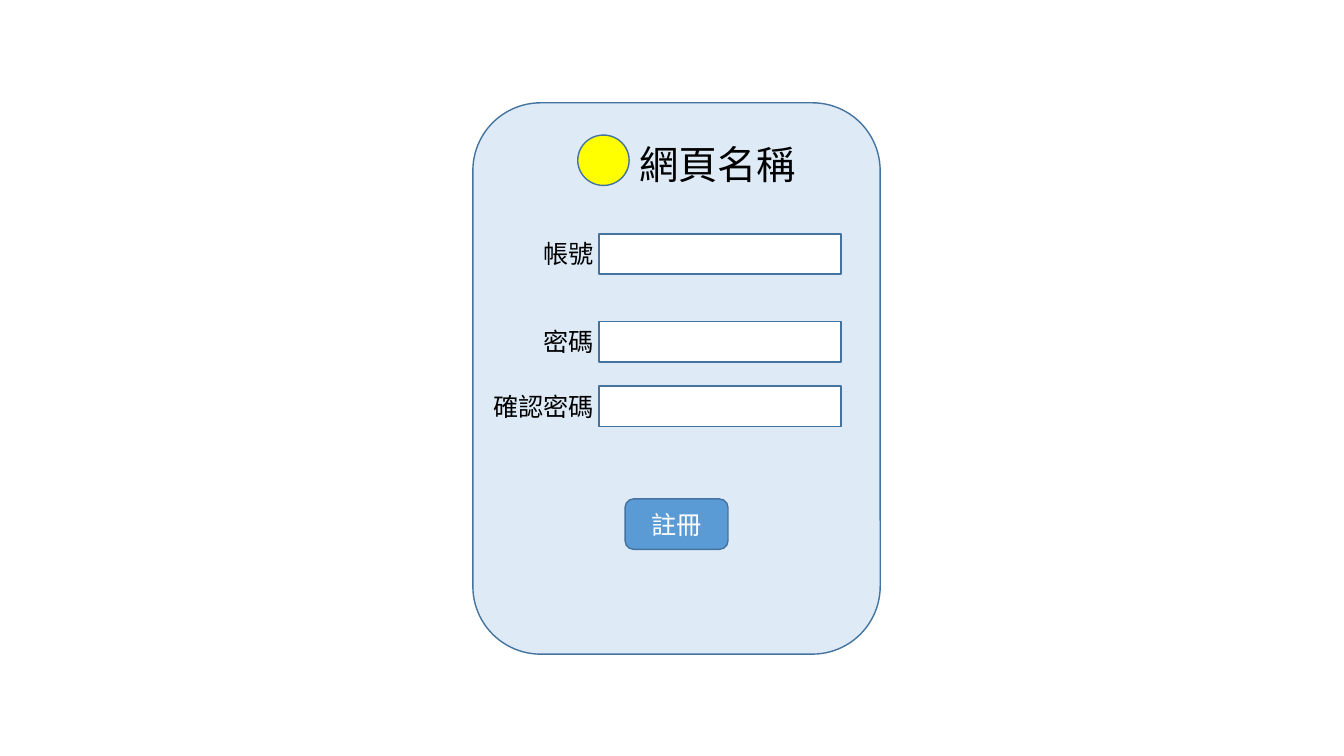
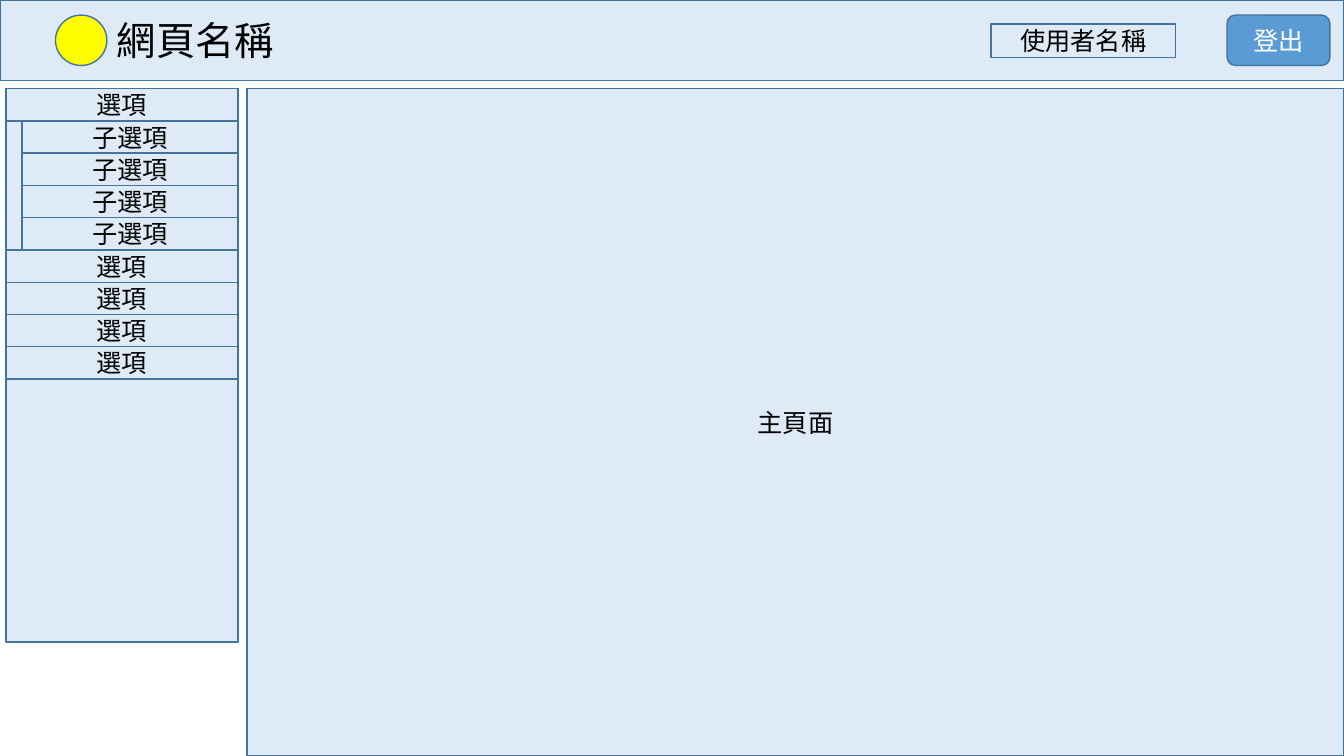
from lxml import etree
from pptx import Presentation
from pptx import util as u
from pptx.dml.color import RGBColor
from pptx.enum import shapes, text
from pptx.oxml.ns import qn

PALE = RGBColor(0xDE, 0xEB, 0xF7)
BLUE = RGBColor(0x5B, 0x9B, 0xD5)
EDGE = RGBColor(0x43, 0x73, 0x9E)
YELLOW = RGBColor(0xFF, 0xFF, 0x00)
WHITE = RGBColor(0xFF, 0xFF, 0xFF)
BLACK = RGBColor(0x00, 0x00, 0x00)
FONT = "Noto Sans CJK SC"
TITLE_ONLY = 5
RECT = shapes.MSO_SHAPE.RECTANGLE
ROUND = shapes.MSO_SHAPE.ROUNDED_RECTANGLE
OVAL = shapes.MSO_SHAPE.OVAL
SITE_NAME = "網頁名稱"


def add_run(p, words, size=18, color=BLACK):
    r = p.add_run()
    r.text = words
    r.font.size = u.Pt(size)
    r.font.color.rgb = color
    r.font.name = FONT
    # East Asian glyphs take their own typeface setting
    etree.SubElement(r._r.get_or_add_rPr(), qn("a:ea"), typeface=FONT)


def add_box(s, x, y, w, h, words="", kind=RECT, fill=PALE, color=BLACK):
    sp = s.shapes.add_shape(kind, *map(u.Inches, (x, y, w, h)))
    sp.shadow.inherit = False
    sp.fill.solid()
    sp.fill.fore_color.rgb = fill
    sp.line.color.rgb = EDGE
    sp.line.width = u.Pt(1)
    if words:
        tf = sp.text_frame
        tf.vertical_anchor = text.MSO_ANCHOR.MIDDLE
        p = tf.paragraphs[0]
        p.alignment = text.PP_ALIGN.CENTER
        add_run(p, words)
        p.runs[0].font.color.rgb = color
    return sp


def add_button(s, x, y, words):
    add_box(s, x, y, 1.02, 0.5, words, ROUND, BLUE, WHITE)


def add_brand(s, x, y, title_y):
    """Round logo spot with the site name as the slide title."""
    add_box(s, x, y, 0.51, 0.5, kind=OVAL, fill=YELLOW)
    title = s.shapes.title
    title.left, title.top = u.Inches(x + 0.51), u.Inches(title_y)
    title.width, title.height = u.Inches(1.81), u.Inches(0.57)
    tf = title.text_frame
    tf.auto_size = text.MSO_AUTO_SIZE.NONE
    tf.vertical_anchor = text.MSO_ANCHOR.TOP
    p = tf.paragraphs[0]
    p.alignment = text.PP_ALIGN.LEFT
    add_run(p, SITE_NAME, 28)
    # Bring the title in front of the panel
    title._element.getparent().append(title._element)


def add_field(s, x, y, label):
    """Input box at x, y with its label ending at its left edge."""
    add_box(s, x, y, 2.4, 0.4, fill=WHITE)
    w = 1.3
    tb = s.shapes.add_textbox(*map(u.Inches, (x - w + 0.05, y, w, 0.4)))
    tf = tb.text_frame
    tf.word_wrap = True
    p = tf.paragraphs[0]
    p.alignment = text.PP_ALIGN.RIGHT
    add_run(p, label)


def add_form(s, x, y):
    """Registration card."""
    add_box(s, x, y, 4.04, 5.47, kind=ROUND)
    add_brand(s, x + 1.04, y + 0.32, y + 0.32)
    for dy, label in ((1.3, "帳號"), (2.17, "密碼"), (2.81, "確認密碼")):
        add_field(s, x + 1.25, y + dy, label)
    add_button(s, x + 1.51, y + 3.93, "註冊")


def add_header(s, x, y, w):
    """Top bar with brand, user name and log-out button."""
    add_box(s, x, y, w, 0.8)
    add_brand(s, x + 0.55, y + 0.15, y + 0.11)
    add_box(s, x + w - 3.5, y + 0.24, 1.83, 0.33, "使用者名稱")
    add_button(s, x + w - 1.16, y + 0.15, "登出")


def add_menu(s, x, y, w, h):
    """Side menu: the first option is opened to show its sub-options."""
    row_h, indent = 0.32, 0.16
    add_box(s, x, y, w, h)
    rows = ["選項"] + ["子選項"] * 4 + ["選項"] * 4
    for i, words in enumerate(rows):
        dx = indent if words == "子選項" else 0
        add_box(s, x + dx, y + i * row_h, w - dx, row_h, words)


def main():
    prs = Presentation()
    prs.slide_width, prs.slide_height = u.Inches(13.33), u.Inches(7.5)
    layout = prs.slide_layouts[TITLE_ONLY]

    # Registration page
    add_form(prs.slides.add_slide(layout), 4.69, 1.02)

    # Main page
    s = prs.slides.add_slide(layout)
    add_header(s, 0, 0, 13.33)
    add_menu(s, 0.06, 0.88, 2.3, 5.49)
    add_box(s, 2.45, 0.88, 10.88, 6.62, "主頁面")

    prs.save("out.pptx")


if __name__ == "__main__":
    main()
